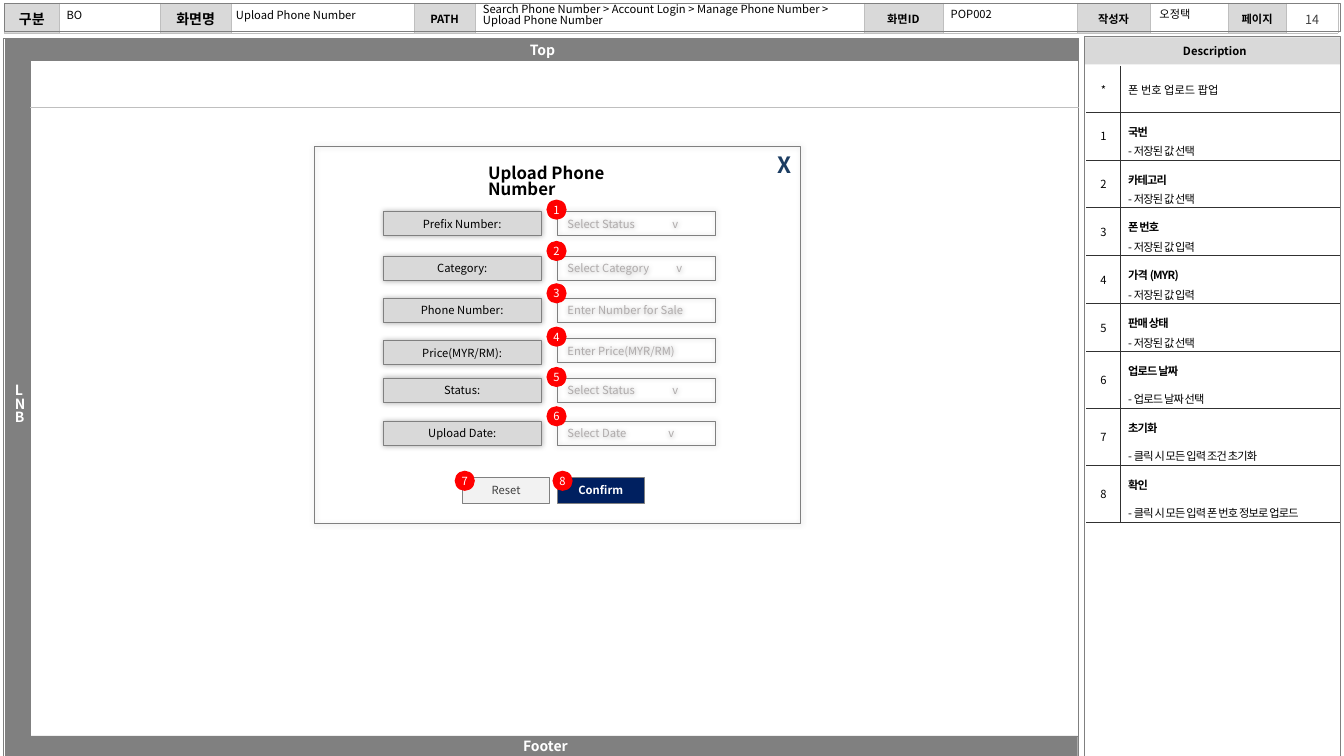
from lxml import etree
from pptx import Presentation
from pptx import util as u
from pptx.dml import color
from pptx.enum import shapes, text
from pptx.oxml import ns

# Grid: every place is given in columns and rows of one hundredth of an inch
CELL = u.Inches(0.01)
COLS, ROWS = 1333, 750
FONT = "Noto Sans CJK KR"
COLORS = {"white": "FFFFFF", "black": "000000", "head": "D9D9D9", "gray": "808080",
          "rule": "BFBFBF", "hint": "AFABAB", "dark": "404040", "light": "F2F2F2",
          "navy": "002060", "close": "1C3D62", "red": "FF0000", "ink": "313131"}
RECT, OVAL = shapes.MSO_SHAPE.RECTANGLE, shapes.MSO_SHAPE.OVAL
LEFT, CENTER, RIGHT = text.PP_ALIGN.LEFT, text.PP_ALIGN.CENTER, text.PP_ALIGN.RIGHT
TOP, MIDDLE = text.MSO_ANCHOR.TOP, text.MSO_ANCHOR.MIDDLE

deck = Presentation()
deck.slide_width, deck.slide_height = COLS * CELL, ROWS * CELL
page = deck.slides.add_slide(deck.slide_layouts[5])


def write(frame, content, size=8, ink="black", bold=False, align=CENTER, spacing=None,
          after=0, track=0, tab=None):
    """Fill a text frame; each line of content becomes a paragraph, the first may be bold."""
    for i, line in enumerate(content.split("\n")):
        para = frame.paragraphs[0] if i == 0 else frame.add_paragraph()
        para.alignment, para.line_spacing = align, spacing
        para.space_before, para.space_after = 0, u.Pt(after)
        if tab:
            stops = etree.SubElement(para._p.get_or_add_pPr(), ns.qn("a:tabLst"))
            etree.SubElement(stops, ns.qn("a:tab"), pos=str(tab * CELL), algn="l")
        if not line:
            para._p.get_or_add_endParaRPr().set("sz", str(size * 100))
            continue
        span = para.add_run()
        span.text = line
        span.font.size, span.font.name = u.Pt(size), FONT
        span.font.bold = bold if bold != "first" else i == 0
        span.font.color.rgb = color.RGBColor.from_string(COLORS[ink])
        props = span._r.get_or_add_rPr()
        etree.SubElement(props, ns.qn("a:ea"), typeface=FONT)
        if track:
            props.set("spc", str(track))


def draw(kind, place, content="", fill=None, line=None, width=0.5, shadow=False,
         inset=(10, 5, 10, 5), anchor=MIDDLE, **style):
    """Add a shape, or a text box when kind is None."""
    place = [n * CELL for n in place]
    if kind is None:
        box = page.shapes.add_textbox(*place)
    else:
        box = page.shapes.add_shape(kind, *place)
        box.shadow.inherit = False
        box.fill.background()
        box.line.fill.background()
    if fill:
        box.fill.solid()
        box.fill.fore_color.rgb = color.RGBColor.from_string(COLORS[fill])
    if line:
        box.line.color.rgb = color.RGBColor.from_string(COLORS[line])
        box.line.width = u.Pt(width)
    if shadow:
        effects = box._element.spPr.find(ns.qn("a:effectLst"))
        glow = etree.SubElement(effects, ns.qn("a:outerShdw"), blurRad=str(u.Pt(4)), dist="0")
        tone = etree.SubElement(glow, ns.qn("a:srgbClr"), val=COLORS["black"])
        etree.SubElement(tone, ns.qn("a:alpha"), val="30000")
    if content:
        frame = box.text_frame
        frame.word_wrap, frame.vertical_anchor = True, anchor
        (frame.margin_left, frame.margin_top,
         frame.margin_right, frame.margin_bottom) = [n * CELL for n in inset]
        write(frame, content, **style)


cell_borders = []  # (cell, {side: (colour, points)})

# Screen area and description heading
draw(RECT, (3, 38, 1067, 712), fill="white", line="gray")
draw(RECT, (1076, 37, 253, 27), "Description", fill="head", bold=True, inset=(5, 0, 0, 0))

# Header table
labels = ["구분", "", "화면명", "", "PATH", "", "화면ID", "", "작성자", "", "페이지", ""]
widths = [55, 100, 70, 182, 60, 386, 78, 133, 73, 77, 58, 51]
header = page.shapes.add_table(1, len(labels), 4 * CELL, 3 * CELL,
                               sum(widths) * CELL, 28 * CELL).table
header.rows[0].height = 28 * CELL
for i, (label, width) in enumerate(zip(labels, widths)):
    header.columns[i].width = width * CELL
    cell = header.cell(0, i)
    cell.vertical_anchor = MIDDLE
    cell.margin_left = cell.margin_right = (12 if label else 5) * CELL
    cell.margin_top = cell.margin_bottom = 5 * CELL
    cell.fill.background()
    if label:
        cell.fill.solid()
        cell.fill.fore_color.rgb = color.RGBColor.from_string(COLORS["head"])
    write(cell.text_frame, label, size=10 if i < 4 else 8, bold=True)
    cell_borders.append((cell, {"L": ("rule", 0.25), "R": ("rule", 0.25),
                                "T": ("white", 0.25), "B": ("rule", 0.25)}))

# Frames and bars
draw(RECT, (4, 3, 1325, 28), line="gray")
draw(RECT, (1076, 36, 253, 714), line="gray")
draw(RECT, (5, 38, 25, 712), "L\nN\nB", fill="gray", line="gray", width=0.25,
     inset=(10, 21, 0, 5), size=10, ink="white", bold=True, align=LEFT, spacing=0.8)
for place, label in [((13, 730, 1056, 20), "Footer"), ((7, 38, 1062, 22), "Top")]:
    draw(RECT, place, label, fill="gray", line="gray", width=0.25,
         size=10, ink="white", bold=True)

# Header values
draw(None, (1278, 5, 47, 28), "14", size=9, ink="dark")
for place, value in [
        ((474, 0, 385, 37), "Search Phone Number > Account Login > Manage Phone Number > "
                            "Upload Phone Number"),
        ((229, 6, 181, 24), "Upload Phone Number"), ((61, 6, 95, 24), "BO"),
        ((938, 5, 73, 24), "POP002"), ((1145, 5, 73, 24), "오정택")]:
    draw(None, place, value, inset=(5, 5, 5, 5), anchor=TOP, align=LEFT, spacing=0.8)

# Rule under the top bar
rule = page.shapes.add_connector(shapes.MSO_CONNECTOR.STRAIGHT,
                                 30 * CELL, 106 * CELL, 1070 * CELL, 106 * CELL)
rule.line.color.rgb = color.RGBColor.from_string(COLORS["rule"])
rule.line.width = u.Pt(0.25)
etree.SubElement(rule._element.spPr, ns.qn("a:effectLst"))

# Popup with its title and close mark
draw(RECT, (312, 145, 482, 374), line="gray", shadow=True)
draw(None, (730, 145, 65, 37), "X", anchor=TOP, size=16, ink="close", bold=True, align=RIGHT)
title = page.shapes.title
page.shapes._spTree.append(title._element)
title.left, title.top, title.width, title.height = [n * CELL for n in (479, 160, 140, 48)]
frame = title.text_frame
frame.auto_size, frame.word_wrap = text.MSO_AUTO_SIZE.NONE, True
frame.vertical_anchor = TOP
frame.margin_left = frame.margin_right = frame.margin_top = frame.margin_bottom = 5 * CELL
write(frame, "Upload Phone Number", size=12, bold=True, align=LEFT, spacing=0.8)

# Form fields: label, hint, label row, field row, badge row, tab stop of the drop-down mark
fields = [("Prefix Number:", "Select Status\tv", 210, 210, 198, 104),
          ("Category:", "Select Category\tv", 254, 254, 239, 108),
          ("Phone Number:", "Enter Number for Sale", 296, 296, 281, None),
          ("Price(MYR/RM):", "Enter Price(MYR/RM)", 338, 336, 324, None),
          ("Status:", "Select Status\tv", 375, 375, 364, 104),
          ("Upload Date:", "Select Date\tv", 418, 418, 403, 100)]
for label, hint, label_row, field_row, _, tab in fields:
    draw(RECT, (380, label_row, 157, 24), label, fill="head", line="gray", shadow=True)
    draw(RECT, (553, field_row, 157, 24), hint, line="gray", shadow=True,
         ink="hint", align=LEFT, tab=tab)

# Buttons and numbered badges
draw(RECT, (459, 474, 86, 25), "Reset", fill="light", line="gray", ink="dark")
draw(RECT, (553, 474, 86, 25), "Confirm", fill="navy", line="gray", ink="white", bold=True)
badges = [(542, field[4]) for field in fields] + [(451, 467), (548, 467)]
for number, (left, top) in enumerate(badges, 1):
    draw(OVAL, (left, top, 20, 20), str(number), fill="red", ink="white", inset=(0, 5, 0, 5))

# Description table
notes = ["폰 번호 업로드 팝업", "국번\n- 저장된 값 선택", "카테고리\n- 저장된 값 선택",
         "폰 번호\n- 저장된 값 입력", "가격 (MYR)\n- 저장된 값 입력",
         "판매 상태\n- 저장된 값 선택", "업로드 날짜\n- 업로드 날짜 선택",
         "초기화\n- 클릭 시 모든 입력 조건 초기화",
         "확인\n- 클릭 시 모든 입력 폰 번호 정보로 업로드"]
heights = [45] + [47.5] * 5 + [56.5] * 3
table = page.shapes.add_table(len(notes), 2, 1078 * CELL, 66 * CELL,
                              250 * CELL, int(sum(heights) * CELL)).table
table.columns[0].width, table.columns[1].width = 33 * CELL, 217 * CELL
for i, (note, height) in enumerate(zip(notes, heights)):
    table.rows[i].height = int(height * CELL)
    paired = i > 0
    for j, content in enumerate([str(i) if paired else "*", note]):
        cell = table.cell(i, j)
        cell.fill.solid()
        cell.fill.fore_color.rgb = color.RGBColor.from_string(COLORS["white"])
        cell.margin_left = cell.margin_right = cell.margin_top = cell.margin_bottom = 8 * CELL
        cell.vertical_anchor = MIDDLE
        if j and paired:
            cell.vertical_anchor, cell.margin_bottom = TOP, 0
            write(cell.text_frame, content, bold="first", align=LEFT, spacing=1.2,
                  after=6 if i > 5 else 0, track=-60)
        else:
            write(cell.text_frame, content, align=LEFT if j else CENTER)
        cell_borders.append((cell, {
            "L": ("ink", 0.25) if j else ("white", 1), "R": ("white", 1) if j else ("ink", 0.25),
            "T": ("ink", 0.25) if paired else ("white", 1), "B": ("ink", 0.25)}))

# Cell borders go before the fill of each cell
for cell, sides in cell_borders:
    props = cell._tc.get_or_add_tcPr()
    for position, side in enumerate("LRTB"):
        ink, points = sides[side]
        edge = etree.Element(ns.qn(f"a:ln{side}"), w=str(u.Pt(points)))
        paint = etree.SubElement(edge, ns.qn("a:solidFill"))
        etree.SubElement(paint, ns.qn("a:srgbClr"), val=COLORS[ink])
        props.insert(position, edge)

deck.save("out.pptx")
